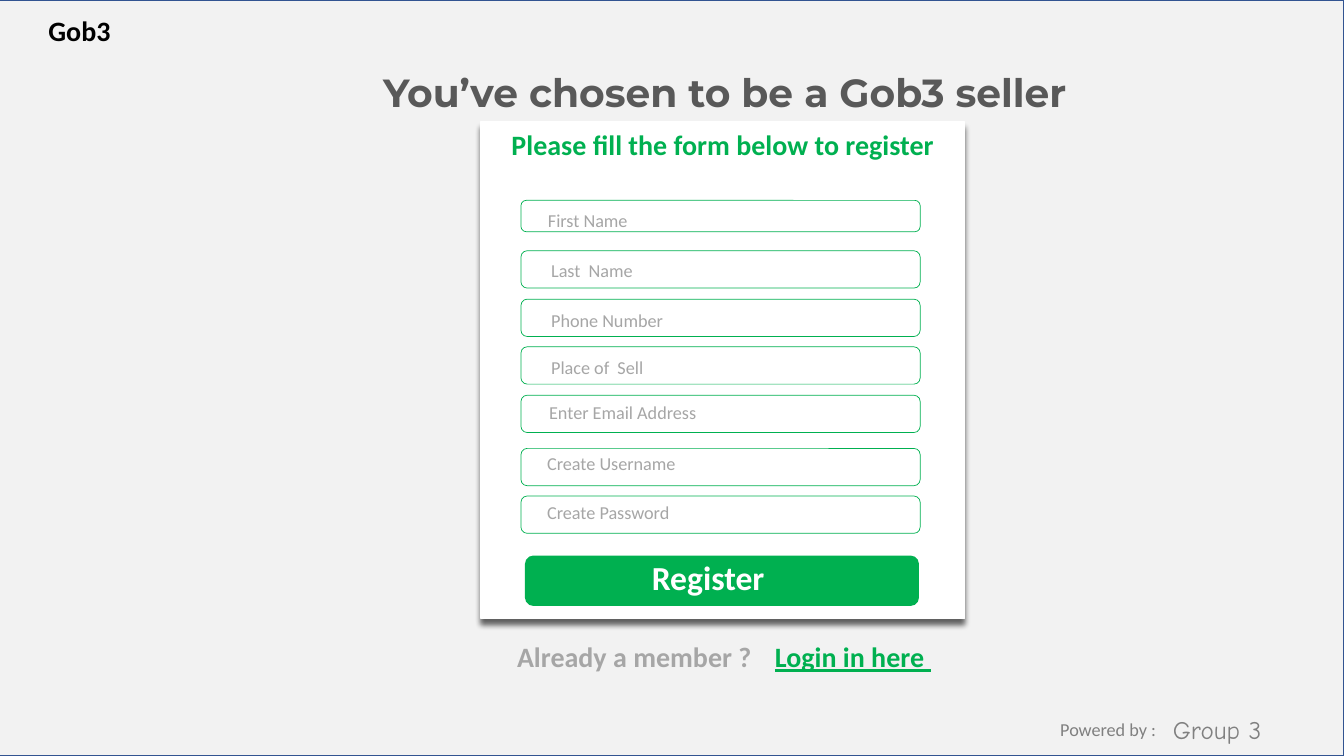
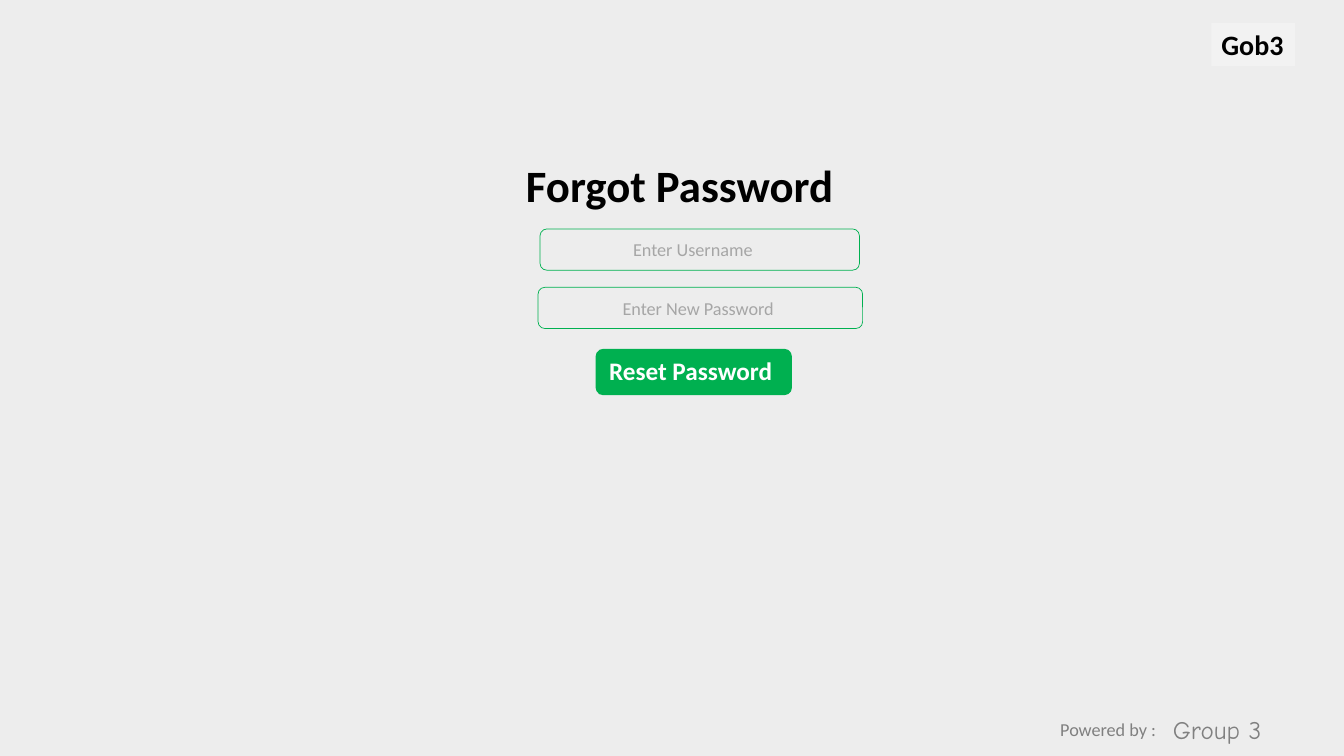
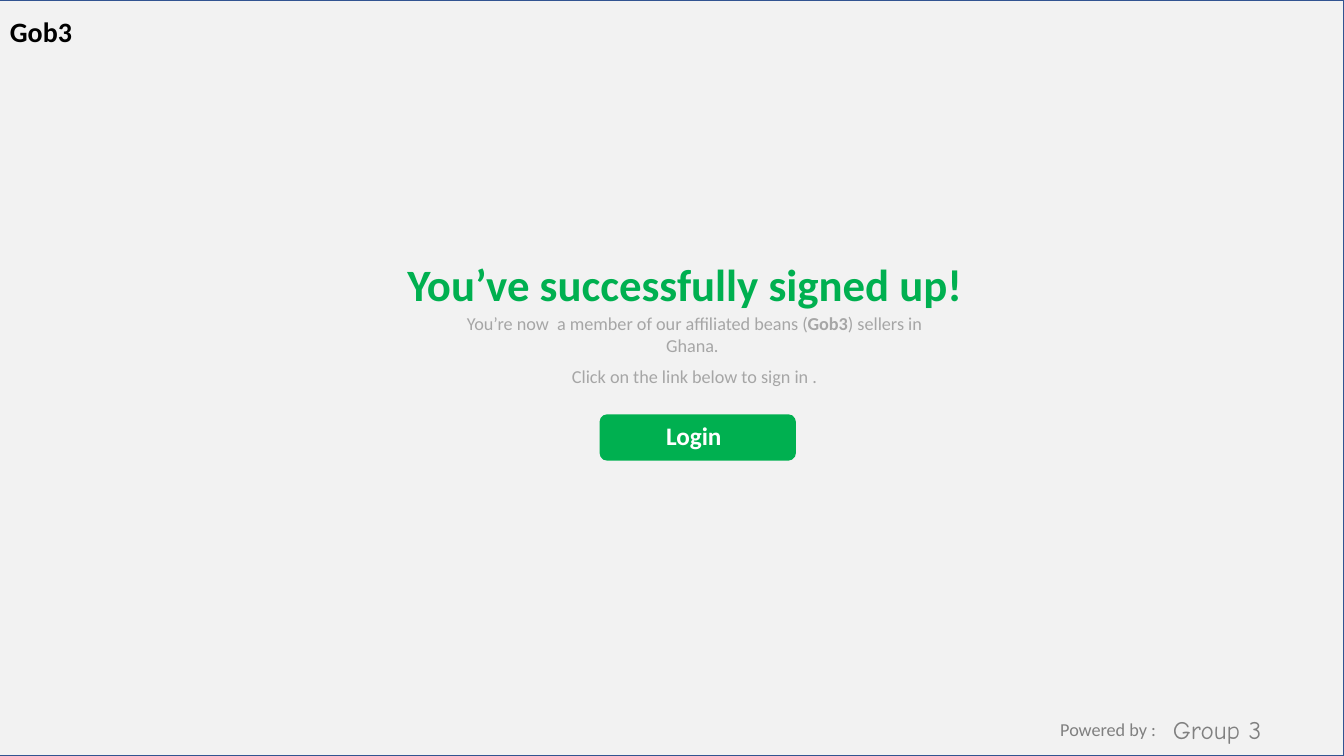
from lxml import etree
from pptx import Presentation
from pptx.dml.color import RGBColor
from pptx.enum.shapes import MSO_SHAPE
from pptx.enum.text import MSO_ANCHOR, MSO_AUTO_SIZE, PP_ALIGN
from pptx.oxml.ns import qn
from pptx.util import Cm, Pt

RECT, ROUND = MSO_SHAPE.RECTANGLE, MSO_SHAPE.ROUNDED_RECTANGLE
LEFT, CENTER = PP_ALIGN.LEFT, PP_ALIGN.CENTER
GROW, FIXED = MSO_AUTO_SIZE.SHAPE_TO_FIT_TEXT, MSO_AUTO_SIZE.NONE
GREEN, PANEL, PAGE, WHITE, BLACK = "00B050", "F2F2F2", "EDEDED", "FFFFFF", "000000"
HINT, FOOT, SLATE, NAVY = "A6A6A6", "808080", "595959", "325491"
W, H = 33.87, 19.05
TITLE_ONLY = 5

# Content: boxes are (left, top, width, height) in cm
BRAND = "Gob3"
FOOTER = [
    ("Powered by :", (26.47, 17.98, 2.95, 0.74), 13, "Calibri"),
    ("Group 3", (29.31, 17.88, 3.43, 0.94), 18, "Comic Neue"),
]
FIELD_X, FIELD_W, FIELD_H = 13.13, 10.06, 0.94
SELLER_FIELDS = [  # hint, hint left, hint top, field top, field height
    ("First Name", 13.56, 5.16, 5.05, 0.79),
    ("Last  Name", 13.64, 6.4, 6.32, FIELD_H),
    ("Phone Number", 13.64, 7.67, 7.54, FIELD_H),
    ("Place of  Sell", 13.64, 8.86, 8.74, FIELD_H),
    ("Enter Email Address", 13.59, 9.98, 9.96, FIELD_H),
    ("Create Username", 13.54, 11.28, 11.3, FIELD_H),
    ("Create Password", 13.54, 12.5, 12.5, FIELD_H),
]
RESET_FIELDS = [  # hint, hint box, field box
    ("Enter Username", (14.68, 5.89, 5.56, 0.81), (13.61, 5.77, 8.05, 1.04)),
    ("Enter New Password ", (14.76, 7.37, 5.77, 0.81), (13.56, 7.24, 8.18, 1.04)),
]
WELCOME = ["You’re now  a member of our affiliated beans (", BRAND, ") sellers in Ghana. "]


def rgb(value):
    return RGBColor.from_string(value)


def paint(shape, fill=None, line=None, width=1):
    if fill:
        shape.fill.solid()
        shape.fill.fore_color.rgb = rgb(fill)
    else:
        shape.fill.background()
    if line:
        shape.line.color.rgb = rgb(line)
        shape.line.width = Pt(width)
    else:
        shape.line.fill.background()


def add_box(s, kind, box, fill=None, line=None, width=1):
    sp = s.shapes.add_shape(kind, *map(Cm, box))
    sp.shadow.inherit = False
    paint(sp, fill, line, width)
    return sp


def write(sp, text, size, color, bold=False, align=LEFT, font="Calibri", fit=GROW):
    tf = sp.text_frame
    tf.word_wrap = True
    tf.auto_size = fit
    p = tf.paragraphs[0]
    p.alignment = align
    for part in [text] if isinstance(text, str) else text:
        r = p.add_run()
        r.text = part
        r.font.name, r.font.size, r.font.bold = font, Pt(size), bold
        r.font.color.rgb = rgb(color)
    return p


def add_text(s, text, box, size, color, **style):
    return write(s.shapes.add_textbox(*map(Cm, box)), text, size, color, **style)


def add_label(s, text, box, color):
    sp = add_box(s, RECT, box, PANEL)
    return write(sp, text, 20, color, bold=True)


def add_field(s, hint, hint_box, box, align=LEFT):
    add_text(s, hint, hint_box, 13, HINT, align=align)
    add_box(s, ROUND, box, line=GREEN, width=0.5)


def add_button(s, text, box, text_box, size=18):
    add_box(s, ROUND, box, GREEN)
    add_text(s, text, text_box, size, WHITE, bold=True, align=CENTER)


def add_title(s, text, box, size, color, fill=None, **style):
    sp = s.shapes.title
    sp.left, sp.top, sp.width, sp.height = map(Cm, box)
    paint(sp, fill)
    sp.text_frame.vertical_anchor = MSO_ANCHOR.MIDDLE
    write(sp, text, size, color, bold=True, fit=FIXED, **style)
    sp.element.getparent().append(sp.element)  # above the backdrop, below later parts


def add_card_shadow(sp):
    effects = sp.element.spPr.find(qn("a:effectLst"))
    shadow = etree.SubElement(effects, qn("a:outerShdw"), blurRad=str(Pt(4)),
                              dist=str(Pt(4)), dir="5400000", algn="t", rotWithShape="0")
    color = etree.SubElement(shadow, qn("a:srgbClr"), val=BLACK)
    etree.SubElement(color, qn("a:alpha"), val="60000")


def new_slide(brand_box, backdrop_left=None):
    s = prs.slides.add_slide(prs.slide_layouts[TITLE_ONLY])
    if backdrop_left is not None:
        add_box(s, RECT, (backdrop_left, 0, W - backdrop_left, H), PANEL, NAVY)
    for text, box, size, font in FOOTER:
        add_text(s, text, box, size, FOOT, font=font)
    add_label(s, BRAND, brand_box, BLACK)
    return s


prs = Presentation()
prs.slide_width, prs.slide_height = Cm(W), Cm(H)
background = prs.slide_master.background.fill
background.solid()
background.fore_color.rgb = rgb(PAGE)

# Seller registration
s = new_slide((0.97, 0.2, 2.57, 1.12), backdrop_left=-0.15)
add_title(s, "You’ve chosen to be a Gob3 seller", (7.8, 1.6, 20.93, 1.45), 28, SLATE,
          PANEL, align=CENTER, font="Montserrat")
card = add_box(s, RECT, (12.12, 3.07, 12.19, 12.52), WHITE, WHITE)
add_card_shadow(card)
add_text(s, "Please fill the form below to register", (12.5, 3.1, 11.43, 1.12), 20, GREEN,
         bold=True, align=CENTER)
for hint, hint_x, hint_y, top, height in SELLER_FIELDS:
    add_field(s, hint, (hint_x, hint_y, 6.96, 0.84), (FIELD_X, top, FIELD_W, height))
add_button(s, "Register", (13.23, 14, 9.93, 1.27), (16.03, 13.92, 3.63, 1.27), 24)
add_label(s, "Already a member ? ", (12.78, 15.98, 6.5, 1.12), HINT)
p = add_label(s, "Login in here ", (19.28, 15.98, 4.93, 1.12), GREEN)
p.runs[0].font.underline = True

# Password reset
s = new_slide((30.53, 0.58, 2.11, 1.09))
add_title(s, "Forgot Password", (13, 3.84, 9.25, 1.63), 32, BLACK)
for hint, hint_box, box in RESET_FIELDS:
    add_field(s, hint, hint_box, box, CENTER)
add_button(s, "Reset Password", (15.01, 8.79, 4.95, 1.17), (14.33, 8.84, 6.15, 1.02))

# Sign-up confirmation
s = new_slide((0, 0.25, 2.11, 1.09), backdrop_left=-0.2)
add_title(s, "You’ve successfully signed up!", (10.01, 6.32, 15.01, 1.63), 32, GREEN, PANEL)
p = add_text(s, WELCOME, (11.15, 7.75, 12.7, 1.37), 13, HINT, align=CENTER)
p.runs[1].font.bold = True
add_text(s, "Click on the link below to sign in .", (11.15, 9.07, 12.7, 0.99), 13, HINT,
         align=CENTER)
add_button(s, "Login", (15.11, 10.44, 4.95, 1.17), (15.39, 10.46, 4.19, 1.02))

prs.save("out.pptx")
